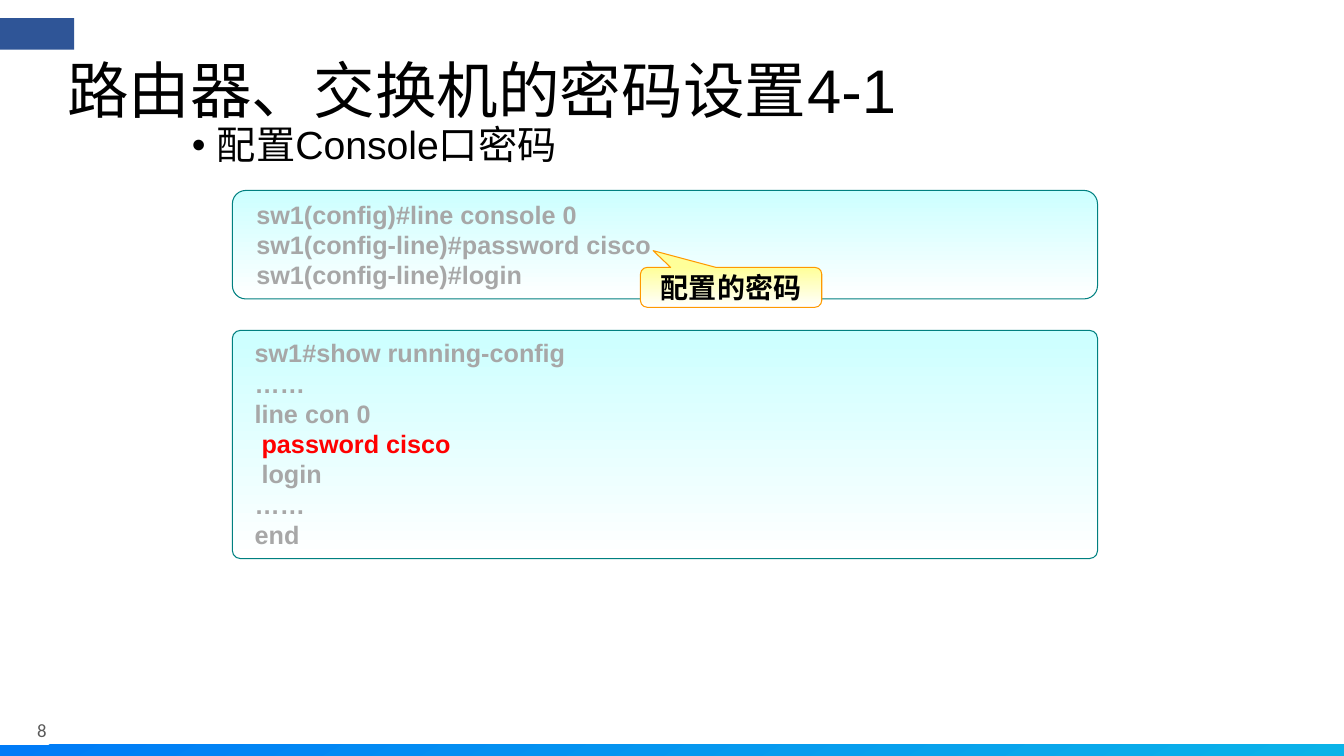
"""Build the slide on setting console passwords for routers and switches."""
from dataclasses import dataclass

from lxml import etree
from pptx import Presentation
from pptx.dml.color import RGBColor
from pptx.enum import shapes, text
from pptx.oxml import ns
from pptx.util import Pt


@dataclass(frozen=True)
class Theme:
    """Fonts, colours and type sizes of the slide."""
    latin: str = "Arial"
    chinese: str = "Noto Sans CJK SC"
    number_font: str = "Calibri"
    ink: str = "000000"
    code: str = "A7A7A7"
    highlight: str = "FF0000"
    number: str = "5A5A5A"
    tab: str = "2F5597"
    bar: tuple = ("007BF7", "0BB3E8")
    panel: tuple = ("CCFFFF", "FFFFFF")
    panel_line: str = "008080"
    note: tuple = ("FFFF99", "FFFFFF")
    note_line: str = "FF9900"
    title_size: float = 44
    bullet_size: float = 28
    note_size: float = 20
    code_size: float = 18
    number_size: float = 13.4


THEME = Theme()
SHAPE = shapes.MSO_SHAPE
ANCHOR = text.MSO_ANCHOR
NO_MARGINS = dict.fromkeys(
    ("margin_left", "margin_top", "margin_right", "margin_bottom"), 0)


def apply(target, values):
    """Set each named attribute of the target."""
    for name, value in values.items():
        setattr(target, name, value)


def points(box):
    """Turn left, top, width and height into lengths."""
    return [Pt(value) for value in box]


def add_run(paragraph, words, size, color, font=THEME.latin, bold=False):
    """Add a run with matching Latin and Chinese fonts."""
    run = paragraph.add_run()
    run.text = words
    apply(run.font, {"name": font, "size": Pt(size), "bold": bold})
    run.font.color.rgb = RGBColor.from_string(color)
    chinese = etree.SubElement(run.font._element, ns.qn("a:ea"))
    chinese.set("typeface", THEME.chinese)


def add_block(slide, kind, box, colors, angle=270, line=None, adjustments=()):
    """Add a preset shape with a plain or two-colour fill."""
    shape = slide.shapes.add_shape(kind, *points(box))
    shape.shadow.inherit = False
    for index, value in enumerate(adjustments):
        shape.adjustments[index] = value
    if isinstance(colors, str):
        shape.fill.solid()
        shape.fill.fore_color.rgb = RGBColor.from_string(colors)
    else:
        shape.fill.gradient()
        shape.fill.gradient_angle = angle
        for stop, color in zip(shape.fill.gradient_stops, colors):
            stop.color.rgb = RGBColor.from_string(color)
    if line:
        shape.line.color.rgb = RGBColor.from_string(line)
        shape.line.width = Pt(0.75)
    else:
        shape.line.fill.background()
    return shape


def add_text(slide, box, anchor):
    """Add a text box without margins and return its paragraph."""
    frame = slide.shapes.add_textbox(*points(box)).text_frame
    apply(frame, {"word_wrap": True, "vertical_anchor": anchor, **NO_MARGINS})
    return frame.paragraphs[0]


def set_title(slide, words, box):
    """Place and format the title placeholder."""
    title = slide.shapes.title
    apply(title, dict(zip(("left", "top", "width", "height"), points(box))))
    frame = title.text_frame
    apply(frame, {"word_wrap": True, "vertical_anchor": ANCHOR.MIDDLE,
                  **NO_MARGINS})
    paragraph = frame.paragraphs[0]
    apply(paragraph, {"alignment": text.PP_ALIGN.LEFT, "line_spacing": 0.9})
    add_run(paragraph, words, THEME.title_size, THEME.ink)


def add_bullet(slide, words, box):
    """Add a bulleted line with a hanging indent."""
    paragraph = add_text(slide, box, ANCHOR.TOP)
    properties = paragraph._p.get_or_add_pPr()
    properties.set("marL", str(Pt(18)))
    properties.set("indent", str(-Pt(18)))
    bullet_font = etree.SubElement(properties, ns.qn("a:buFont"))
    bullet_font.set("typeface", THEME.latin)
    etree.SubElement(properties, ns.qn("a:buChar")).set("char", "•")
    paragraph.line_spacing = 0.9
    add_run(paragraph, words, THEME.bullet_size, THEME.ink)


def add_code_panel(slide, box, rounding, lines, highlight=None):
    """Add a rounded panel of code, with one phrase picked out."""
    panel = add_block(slide, SHAPE.ROUNDED_RECTANGLE, box, THEME.panel,
                      line=THEME.panel_line, adjustments=[rounding])
    frame = panel.text_frame
    apply(frame, {"word_wrap": True, "vertical_anchor": ANCHOR.TOP,
                  "auto_size": text.MSO_AUTO_SIZE.SHAPE_TO_FIT_TEXT})
    for index, line in enumerate(lines):
        paragraph = frame.add_paragraph() if index else frame.paragraphs[0]
        apply(paragraph, {"level": 1, "alignment": text.PP_ALIGN.LEFT})
        properties = paragraph._p.get_or_add_pPr()
        properties.set("marL", str(Pt(7.2)))
        properties.set("indent", "0")
        parts = line.partition(highlight) if highlight else (line,)
        for part in filter(None, parts):
            color = THEME.highlight if part == highlight else THEME.code
            add_run(paragraph, part, THEME.code_size, color, bold=True)


def add_callout(slide, words, box, adjustments):
    """Add a rounded callout with a centred label."""
    callout = add_block(slide, SHAPE.ROUNDED_RECTANGULAR_CALLOUT, box,
                        THEME.note, line=THEME.note_line,
                        adjustments=adjustments)
    frame = callout.text_frame
    apply(frame, {"word_wrap": True, "vertical_anchor": ANCHOR.MIDDLE})
    paragraph = frame.paragraphs[0]
    paragraph.alignment = text.PP_ALIGN.CENTER
    add_run(paragraph, words, THEME.note_size, THEME.ink, THEME.chinese, True)


def main():
    """Compose and save the slide."""
    presentation = Presentation()
    apply(presentation, {"slide_width": Pt(960), "slide_height": Pt(540)})
    slide = presentation.slides.add_slide(presentation.slide_layouts[5])
    add_block(slide, SHAPE.RECTANGLE, (0, 532, 960, 9), THEME.bar, angle=300)
    add_run(add_text(slide, (26.5, 513.5, 53, 16), ANCHOR.MIDDLE), "8",
            THEME.number_size, THEME.number, THEME.number_font)
    add_block(slide, SHAPE.RECTANGLE, (0, 13, 53, 22.5), THEME.tab)
    set_title(slide, "路由器、交换机的密码设置4-1", (48, 21.5, 864, 90))
    add_bullet(slide, "配置Console口密码", (137, 90, 670, 405))
    add_code_panel(slide, (166, 136, 618, 77.5), 0.124, [
        "sw1(config)#line console 0",
        "sw1(config-line)#password cisco",
        "sw1(config-line)#login",
    ])
    add_code_panel(slide, (166, 236, 618, 163), 0.035, [
        "sw1#show running-config",
        "……",
        "line con 0",
        " password cisco",
        " login",
        "……",
        "end",
    ], highlight="password cisco")
    add_callout(slide, "配置的密码", (457.5, 191, 129.5, 28.5),
                (-0.43, -0.92, 0.17))
    presentation.save("out.pptx")


if __name__ == "__main__":
    main()
